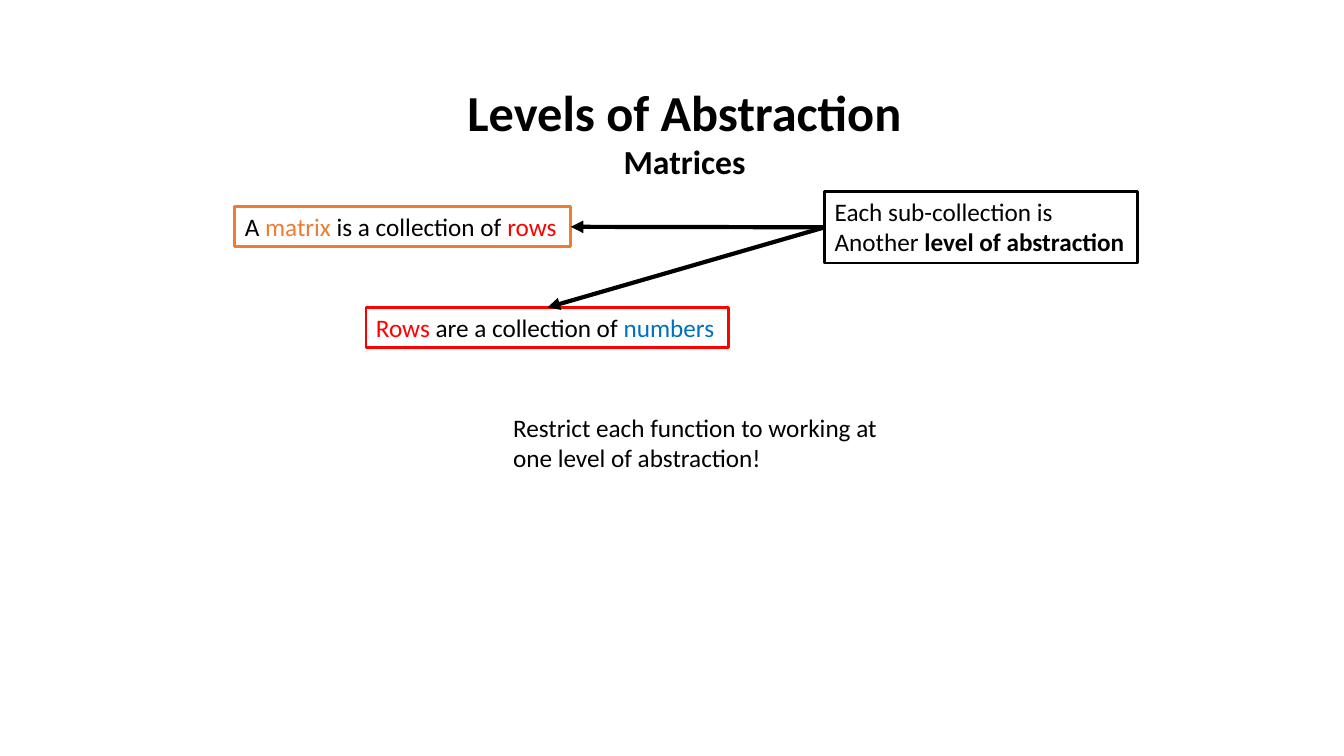
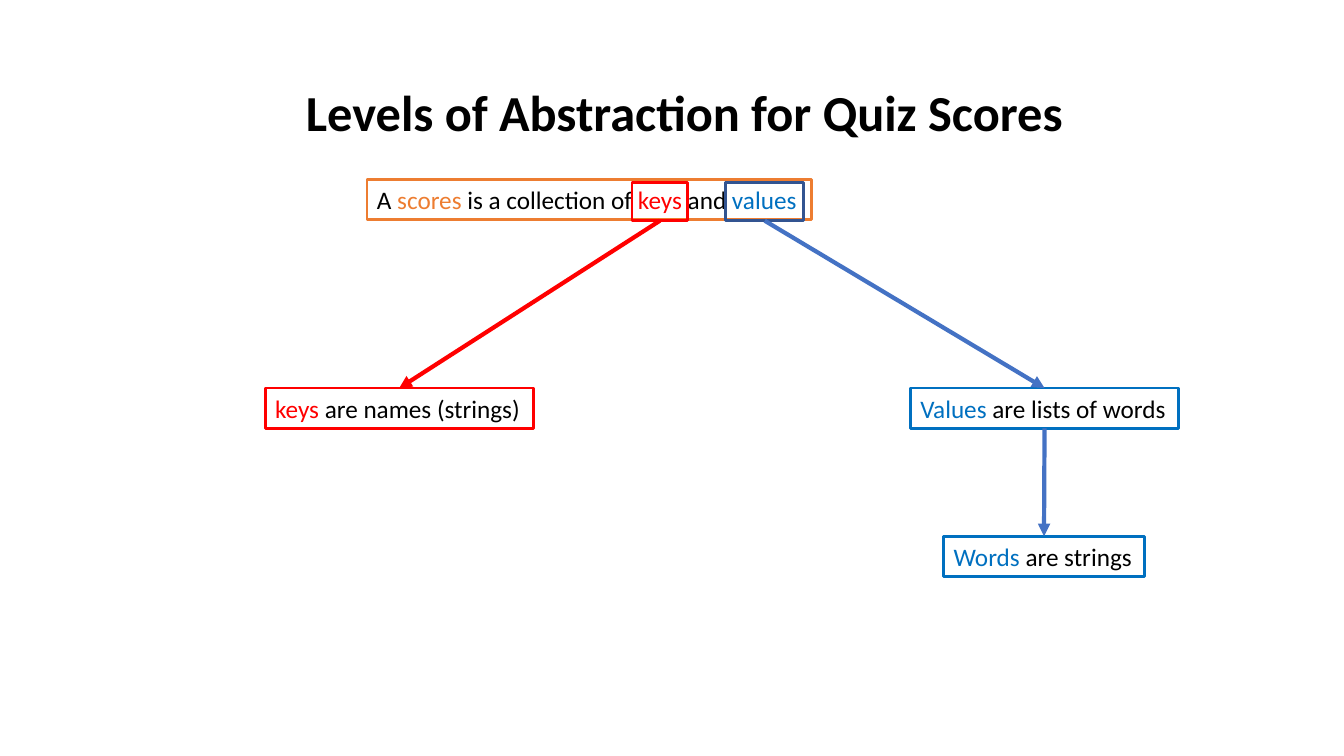
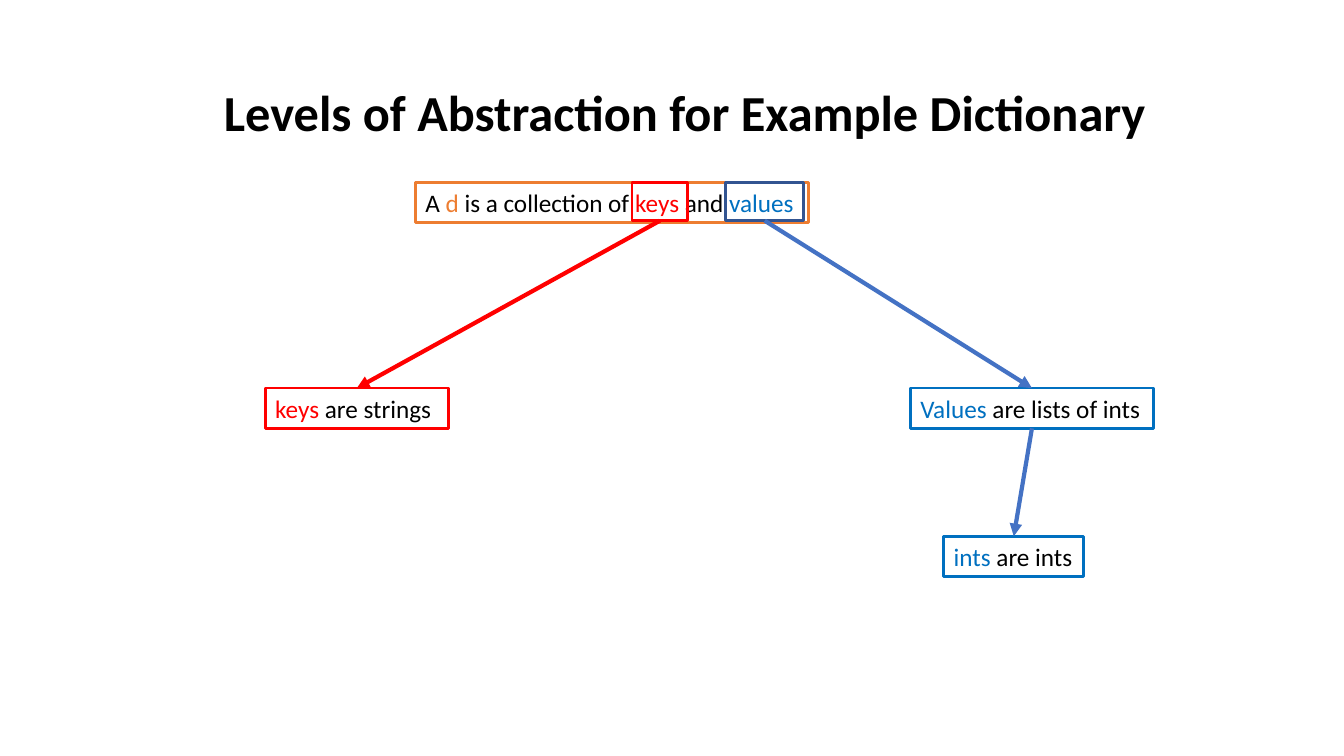
from dataclasses import dataclass

from lxml.etree import SubElement
from pptx import Presentation
from pptx.dml.color import RGBColor
from pptx.enum.shapes import MSO_CONNECTOR as Connector, MSO_SHAPE as Preset
from pptx.enum.text import MSO_ANCHOR as Anchor, MSO_AUTO_SIZE as AutoSize, PP_ALIGN as Align
from pptx.oxml.ns import qn
from pptx.util import Pt


@dataclass(frozen=True)
class Theme:
    font: str = "Calibri"
    black: str = "000000"
    orange: str = "ED7D31"
    red: str = "FF0000"
    blue: str = "0070C0"
    arrow_blue: str = "4472C4"
    marker_blue: str = "325491"
    title: int = 36
    subtitle: int = 24
    body: int = 18
    outline: float = 2
    thin_outline: float = 1.75
    arrow: int = 3


theme = Theme()
PX = 9144
TOP, LEFT, BOTTOM, RIGHT = range(4)
BOX_HEIGHT, LINE_STEP = 40, 31
TITLE_CENTRE, TITLE_TOP = 679, 75


def write(shape, lines, sizes, align, bold=False):
    frame = shape.text_frame
    settings = {"word_wrap": False, "auto_size": AutoSize.SHAPE_TO_FIT_TEXT, "vertical_anchor": Anchor.TOP}
    for name, value in settings.items():
        setattr(frame, name, value)
    for index, (line, size) in enumerate(zip(lines, sizes)):
        para = frame.paragraphs[0] if index == 0 else frame.add_paragraph()
        para.alignment = align
        for text, colour, *strong in line:
            span = para.add_run()
            span.text = text
            look = {"name": theme.font, "size": Pt(size), "bold": bold or bool(strong)}
            for name, value in look.items():
                setattr(span.font, name, value)
            span.font.color.rgb = RGBColor.from_string(colour)


def outline(shape, colour, width):
    shape.line.color.rgb = RGBColor.from_string(colour)
    shape.line.width = Pt(width)


black, orange, red, blue = theme.black, theme.orange, theme.red, theme.blue

pages = [
    {
        "title": ["Levels of Abstraction", "Matrices"],
        "title_size": (456, 111),
        "boxes": {
            "matrix": (233, 205, 333, orange, [
                [("A ", black), ("matrix", orange), (" is a collection of ", black), ("rows", red)]]),
            "rows": (363, 305, 360, red, [
                [("Rows", red), (" are a collection of ", black), ("numbers", blue)]]),
            "level": (818, 190, 310, black, [
                [("Each sub-collection is", black)],
                [("Another ", black), ("level of abstraction", black, True)]]),
            "advice": (499, 404, 385, None, [
                [("Restrict each function to working at", black)],
                [("one level of abstraction!", black)]]),
        },
        "arrows": [("level", LEFT, "matrix", RIGHT, black), ("level", LEFT, "rows", TOP, black)],
    },
]

dictionaries = [
    ("Quiz Scores", 780, (364, 178, 441), "scores ", (" are names (strings)", 266),
     ("are lists of words", 266), ("Words ", "are strings", 199)),
    ("Example Dictionary", 945, (412, 181, 390), "d ", (" are strings", 182),
     ("are lists of ints", 241), ("ints ", "are ints", 139)),
]
for subject, title_width, place, name, keys, values, items in dictionaries:
    pages.append({
        "title": [f"Levels of Abstraction for {subject}"],
        "title_size": (title_width, 71),
        "boxes": {
            "collection": (*place, orange, [
                [("A ", black), (name, orange), ("is a collection of ", black),
                 ("keys ", red), ("and ", black), ("values", blue)]]),
            "keys": (263, 385, keys[1], red, [[("keys", red), (keys[0], black)]]),
            "values": (903, 385, values[1], blue, [[("Values ", blue), (values[0], black)]]),
            "items": (936, 532, items[2], blue, [[(items[0], blue), (items[1], black)]]),
        },
        "markers": {
            "key marker": (627, 55, red, theme.thin_outline),
            "value marker": (720, 77, theme.marker_blue, theme.outline),
        },
        "arrows": [
            ("key marker", BOTTOM, "keys", TOP, red),
            ("value marker", BOTTOM, "values", TOP, theme.arrow_blue),
            ("values", BOTTOM, "items", TOP, theme.arrow_blue),
        ],
    })

deck = Presentation()
deck.slide_width, deck.slide_height = 1333 * PX, 750 * PX

for content in pages:
    page = deck.slides.add_slide(deck.slide_layouts[5])
    title = page.shapes.title
    width, height = content["title_size"]
    position = {"left": TITLE_CENTRE - width // 2, "top": TITLE_TOP, "width": width, "height": height}
    for name, value in position.items():
        setattr(title, name, value * PX)
    write(title, [[(text, black)] for text in content["title"]],
          (theme.title, theme.subtitle), Align.CENTER, bold=True)

    shapes = {}
    for name, (left, top, width, colour, lines) in content["boxes"].items():
        height = BOX_HEIGHT + LINE_STEP * (len(lines) - 1)
        box = page.shapes.add_textbox(left * PX, top * PX, width * PX, height * PX)
        write(box, lines, [theme.body] * len(lines), Align.LEFT)
        if colour:
            outline(box, colour, theme.outline)
        shapes[name] = box

    for name, (left, width, colour, weight) in content.get("markers", {}).items():
        marker = page.shapes.add_shape(Preset.RECTANGLE, left * PX, 181 * PX, width * PX, 38 * PX)
        marker.shadow.inherit = False
        marker.fill.background()
        outline(marker, colour, weight)
        shapes[name] = marker

    for start, start_side, end, end_side, colour in content["arrows"]:
        arrow = page.shapes.add_connector(Connector.STRAIGHT, 0, 0, 0, 0)
        arrow.begin_connect(shapes[start], start_side)
        arrow.end_connect(shapes[end], end_side)
        outline(arrow, colour, theme.arrow)
        SubElement(arrow.line._get_or_add_ln(), qn("a:tailEnd"), type="triangle")
        SubElement(arrow._element.spPr, qn("a:effectLst"))

deck.save("out.pptx")
